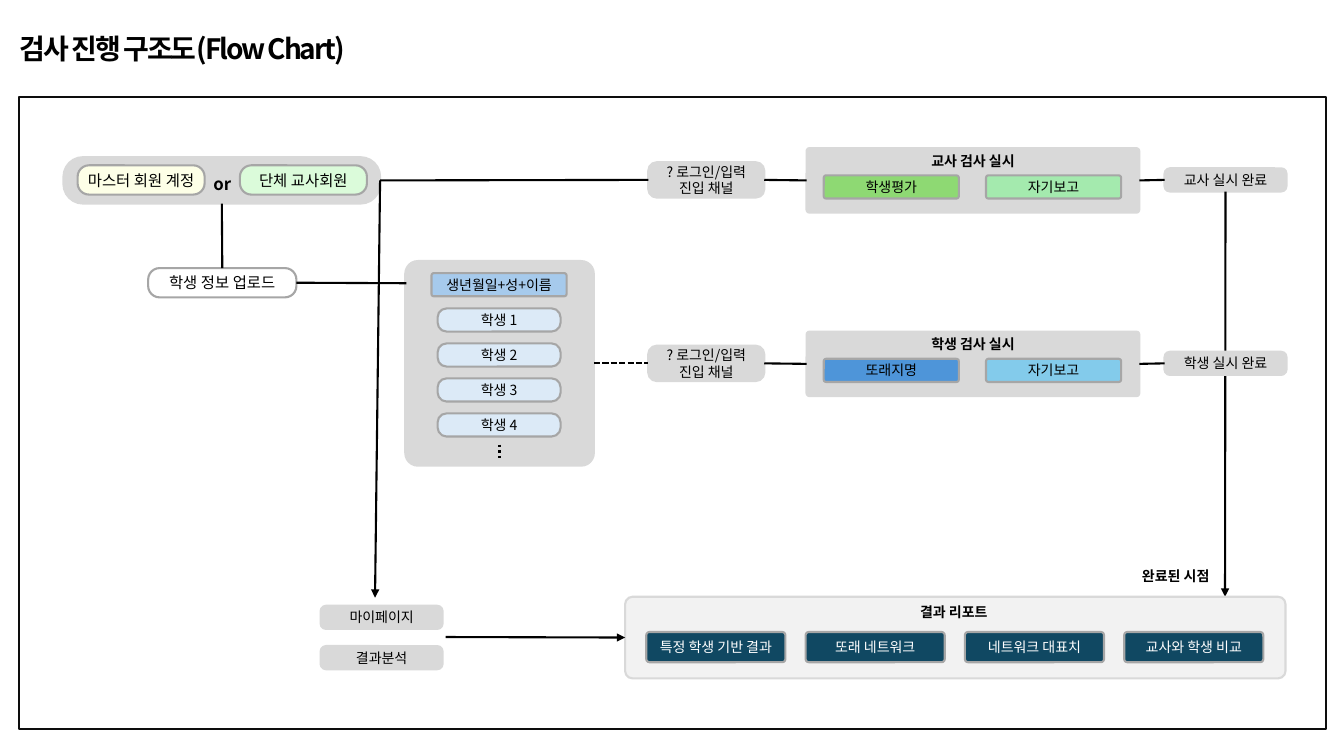
from lxml import etree
from pptx import Presentation
from pptx.dml.color import RGBColor
from pptx.enum.dml import MSO_LINE
from pptx.enum.shapes import MSO_CONNECTOR, MSO_SHAPE
from pptx.enum.text import MSO_ANCHOR, PP_ALIGN
from pptx.oxml.ns import qn
from pptx.util import Inches, Pt

FONT = "Noto Sans CJK KR"
BLACK = RGBColor(0x00, 0x00, 0x00)
WHITE = RGBColor(0xFF, 0xFF, 0xFF)
FRAME = RGBColor(0x0D, 0x0D, 0x0D)
PANEL = RGBColor(0xD9, 0xD9, 0xD9)
REPORT = RGBColor(0xF2, 0xF2, 0xF2)
EDGE = RGBColor(0xA6, 0xA6, 0xA6)
CREAM = RGBColor(0xFD, 0xFF, 0xE7)
MINT = RGBColor(0xDB, 0xFB, 0xDA)
PALE_BLUE = RGBColor(0xDC, 0xEA, 0xF7)
LIGHT_BLUE = RGBColor(0xA6, 0xCA, 0xEC)
GREEN = RGBColor(0x8E, 0xD9, 0x73)
LIGHT_GREEN = RGBColor(0xA4, 0xEA, 0xAE)
BLUE = RGBColor(0x4E, 0x95, 0xD9)
SKY = RGBColor(0x83, 0xCB, 0xEB)
NAVY = RGBColor(0x10, 0x48, 0x62)

RECT, ROUND = MSO_SHAPE.RECTANGLE, MSO_SHAPE.ROUNDED_RECTANGLE
STRAIGHT = MSO_CONNECTOR.STRAIGHT
DASH, DOT = MSO_LINE.SQUARE_DOT, MSO_LINE.ROUND_DOT
MIDDLE, BOTTOM_ANCHOR = MSO_ANCHOR.MIDDLE, MSO_ANCHOR.BOTTOM
CENTER, LEFT_ALIGN = PP_ALIGN.CENTER, PP_ALIGN.LEFT
TOP, LEFT, BOTTOM, RIGHT = range(4)
PILL, TAG, SQUARISH = 0.389, 0.234, 0.104


def write(sp, text, size, bold=False, color=BLACK, align=CENTER):
    tf = sp.text_frame
    tf.text = text
    tf.word_wrap = True
    tf.vertical_anchor = MIDDLE
    tf.margin_left = tf.margin_right = tf.margin_top = tf.margin_bottom = 0
    for p in tf.paragraphs:
        p.alignment = align
        for r in p.runs:
            r.font.size, r.font.bold, r.font.name = Pt(size), bold, FONT
            r.font.color.rgb = color
            etree.SubElement(r.font._element, qn("a:ea"), typeface=FONT)


def box(slide, x, y, w, h, fill, line=PANEL, radius=None, text="", size=10, color=BLACK):
    """Outlined box, rounded when a radius is given."""
    sp = slide.shapes.add_shape(RECT if radius is None else ROUND,
                                Inches(x), Inches(y), Inches(w), Inches(h))
    sp.shadow.inherit = False
    if radius is not None:
        sp.adjustments[0] = radius
    if fill is None:
        sp.fill.background()
    else:
        sp.fill.solid()
        sp.fill.fore_color.rgb = fill
    sp.line.color.rgb = line
    sp.line.width = Pt(1.5)
    if text:
        write(sp, text, size, color=color)
    return sp


def label(slide, x, y, w, h, text, size=10):
    sp = slide.shapes.add_textbox(Inches(x), Inches(y), Inches(w), Inches(h))
    write(sp, text, size, bold=True)


def link(slide, start, end, arrow=False, dash=None, width=1.5):
    """Line between two ends, each an (x, y) point or a (shape, side) pair."""
    c = slide.shapes.add_connector(STRAIGHT, 0, 0, 0, 0)
    if isinstance(start[0], (int, float)):
        c.begin_x, c.begin_y = Inches(start[0]), Inches(start[1])
    else:
        c.begin_connect(*start)
    if isinstance(end[0], (int, float)):
        c.end_x, c.end_y = Inches(end[0]), Inches(end[1])
    else:
        c.end_connect(*end)
    c.line.color.rgb = BLACK
    c.line.width = Pt(width)
    if dash:
        c.line.dash_style = dash
    if arrow:
        etree.SubElement(c.line._get_or_add_ln(), qn("a:tailEnd"), type="triangle")
    etree.SubElement(c._element.spPr, qn("a:effectLst"))


def title(slide, x, y, w, h):
    sp = slide.shapes.add_textbox(Inches(x), Inches(y), Inches(w), Inches(h))
    write(sp, "검사 진행 구조도(Flow Chart)", 20, bold=True, align=LEFT_ALIGN)
    tf = sp.text_frame
    tf.vertical_anchor = BOTTOM_ANCHOR
    tf.margin_left = tf.margin_right = Inches(0.1)
    tf.margin_top = tf.margin_bottom = Inches(0.05)
    p = tf.paragraphs[0]
    p.line_spacing = 0.9
    p.runs[0].font._element.set("spc", "-150")


def accounts(slide, x, y, w, h):
    panel = box(slide, x, y, w, h, PANEL, radius=0.42)
    for dx, name, fill in ((0.14, "마스터 회원 계정", CREAM), (1.75, "단체 교사회원", MINT)):
        box(slide, x + dx, y + 0.08, 1.26, 0.29, fill, EDGE, PILL, name, 11)
    label(slide, x + 1.31, y + 0.15, 0.53, 0.23, "or", 12)
    return panel


def student_list(slide, x, y, w, h):
    panel = box(slide, x, y, w, h, PANEL, radius=0.067)
    box(slide, x + 0.26, y + 0.12, 1.34, 0.23, LIGHT_BLUE, EDGE, SQUARISH, "생년월일+성+이름")
    for i in range(4):
        box(slide, x + 0.32, y + 0.47 + i * 0.347, 1.22, 0.23,
            PALE_BLUE, EDGE, PILL, f"학생 {i + 1}")
    mid = x + w / 2
    link(slide, (mid, y + 1.82), (mid, y + 1.95), dash=DOT, width=2)
    return panel


def test_row(slide, x, y, who, tests, source, dash=None):
    """Entry channel, test panel and completion tag; returns the tag."""
    channel = box(slide, x, y + 0.14, 1.15, 0.35, PANEL, radius=TAG,
                  text="? 로그인/입력\n진입 채널")
    panel = box(slide, x + 1.57, y, 3.3, 0.64, PANEL, radius=0.046)
    label(slide, x + 2.68, y + 0.01, 1.08, 0.23, f"{who} 검사 실시")
    for i, (name, fill) in enumerate(tests):
        box(slide, x + 1.74 + i * 1.61, y + 0.27, 1.34, 0.23, fill, EDGE, SQUARISH, name)
    done = box(slide, x + 5.12, y + 0.2, 1.21, 0.23, PANEL, radius=TAG,
               text=f"{who} 실시 완료")
    link(slide, (source, RIGHT), (channel, LEFT), dash=dash)
    link(slide, (channel, RIGHT), (panel, LEFT))
    link(slide, (panel, RIGHT), (done, LEFT))
    return done


def my_page(slide, x, y):
    for i, name in enumerate(("마이페이지", "결과분석")):
        box(slide, x, y + i * 0.4, 1.21, 0.23, PANEL, radius=TAG, text=name)


def report(slide, x, y, w, h):
    panel = box(slide, x, y, w, h, REPORT, radius=0.09)
    label(slide, x + 2.71, y, 1.1, 0.3, "결과 리포트")
    names = ("특정 학생 기반 결과", "또래 네트워크", "네트워크 대표치", "교사와 학생 비교")
    for i, name in enumerate(names):
        box(slide, x + 0.21 + i * 1.58, y + 0.35, 1.38, 0.3,
            NAVY, EDGE, SQUARISH, name, color=WHITE)
    return panel


def main():
    prs = Presentation()
    prs.slide_width, prs.slide_height = Inches(13.33), Inches(7.5)
    slide = prs.slides.add_slide(prs.slide_layouts[6])

    title(slide, 0.1, 0.29, 6.6, 0.41)
    box(slide, 0.19, 0.96, 12.96, 6.27, None, FRAME)
    account_panel = accounts(slide, 0.63, 1.56, 3.14, 0.46)
    upload = box(slide, 1.47, 2.66, 1.47, 0.29, WHITE, EDGE, PILL, "학생 정보 업로드", 11)
    students = student_list(slide, 4.02, 2.59, 1.87, 2.03)
    link(slide, (account_panel, BOTTOM), (upload, TOP))
    link(slide, (upload, RIGHT), (4.03, 2.81))
    link(slide, (account_panel, RIGHT), (3.72, 5.93), arrow=True)

    teacher_done = test_row(slide, 6.43, 1.47, "교사",
                            (("학생평가", GREEN), ("자기보고", LIGHT_GREEN)), account_panel)
    link(slide, (teacher_done, BOTTOM), (12.15, 5.92), arrow=True)
    test_row(slide, 6.43, 3.29, "학생",
             (("또래지명", BLUE), ("자기보고", SKY)), students, DASH)

    my_page(slide, 3.18, 6.01)
    report_panel = report(slide, 6.2, 5.92, 6.55, 0.81)
    link(slide, (4.42, 6.32), (report_panel, LEFT), arrow=True)
    label(slide, 11.12, 5.6, 1.08, 0.23, "완료된 시점")
    prs.save("out.pptx")


if __name__ == "__main__":
    main()
